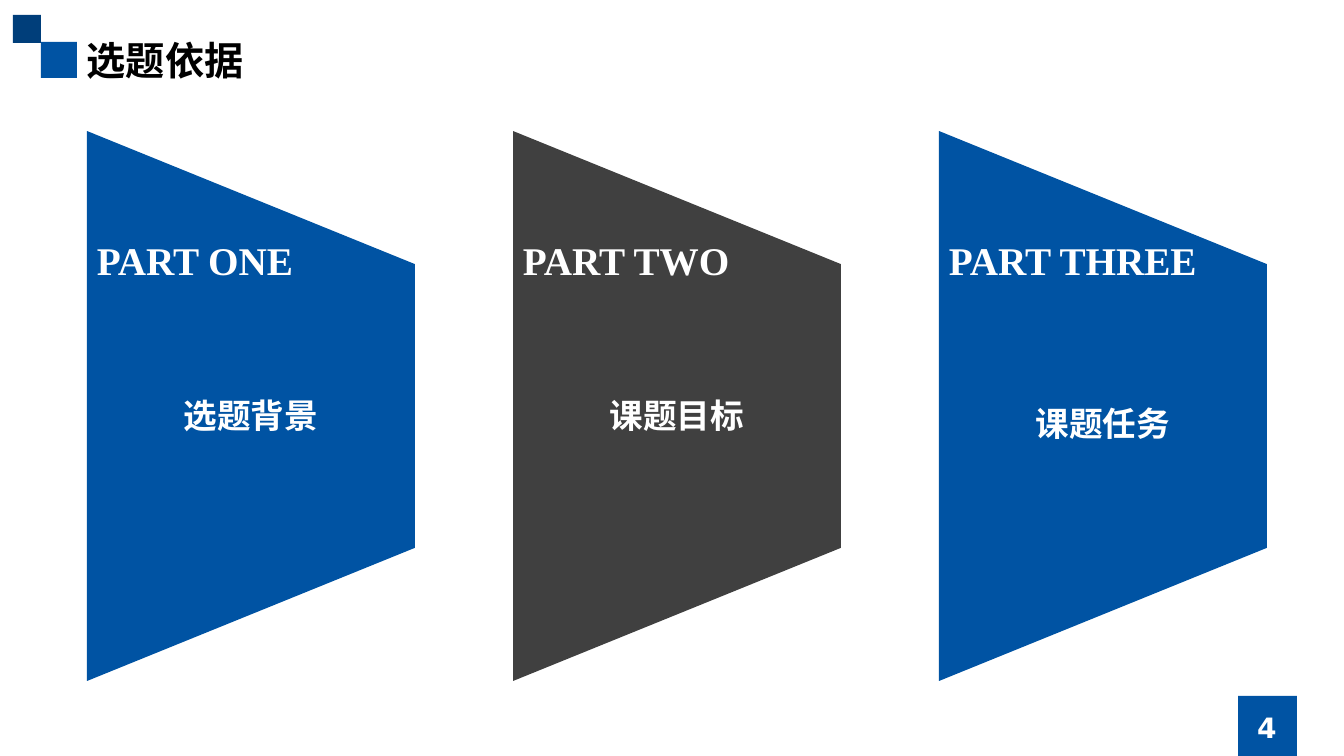
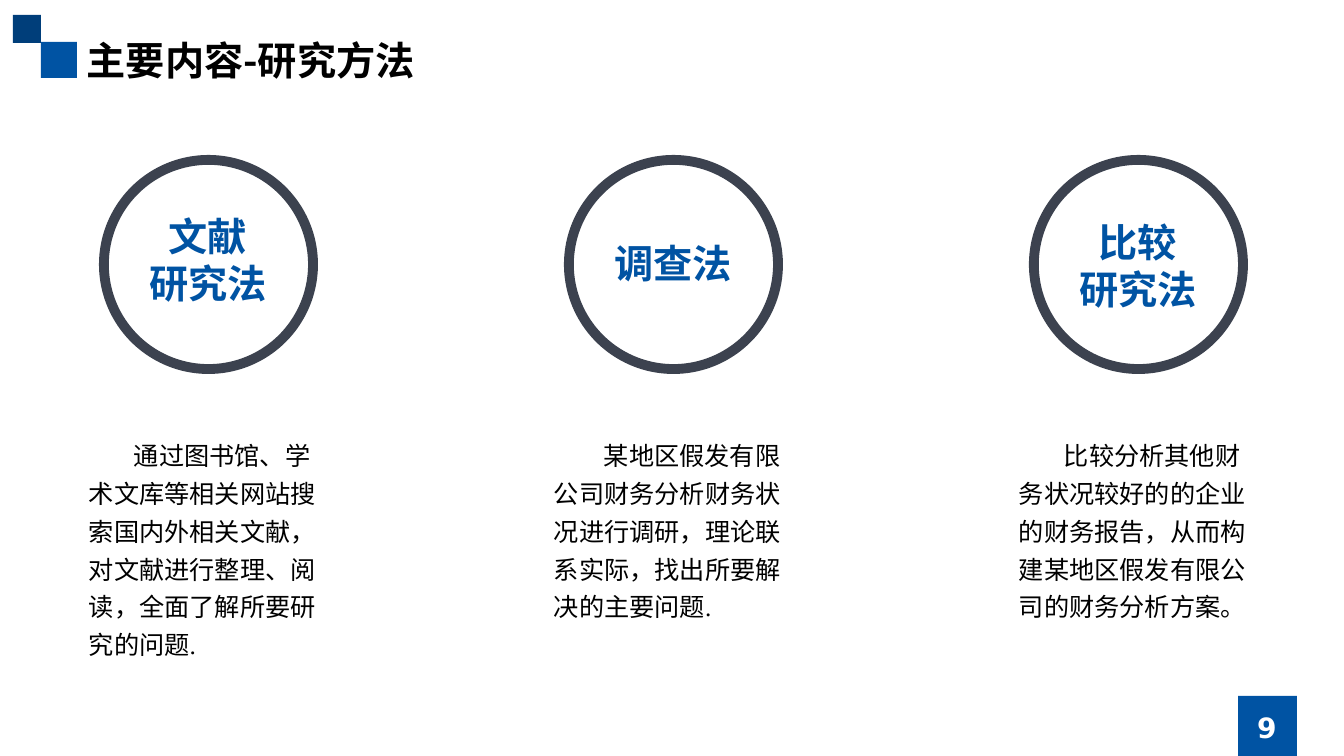
"""Build two thesis slides: the parts of the topic and the research methods."""
from lxml import etree
from pptx import Presentation
from pptx.dml.color import RGBColor
from pptx.enum.shapes import MSO_SHAPE
from pptx.enum.text import MSO_ANCHOR, MSO_AUTO_SIZE, PP_ALIGN
from pptx.oxml.ns import qn
from pptx.util import Pt

RECTANGLE, TRAPEZOID, DONUT = MSO_SHAPE.RECTANGLE, MSO_SHAPE.TRAPEZOID, MSO_SHAPE.DONUT
LEFT, CENTER = PP_ALIGN.LEFT, PP_ALIGN.CENTER
TOP, MIDDLE = MSO_ANCHOR.TOP, MSO_ANCHOR.MIDDLE
FIT_SHAPE = MSO_AUTO_SIZE.SHAPE_TO_FIT_TEXT

COLORS = {"blue": "0053A3", "navy": "003E7A", "gray": "404040",
          "slate": "3C424F", "black": "000000", "white": "FFFFFF"}
CJK, SANS, SERIF = "Noto Sans CJK SC", "DejaVu Sans", "Times New Roman"
SCALE = 914400 / 100.8

DECORATIONS = [((41, 42, 36, 36), "blue"), ((13, 15, 28, 28), "navy"),
               ((1238, 696, 59, 60), "blue")]

PARTS = [
    {"label": "PART ONE", "label_width": 217, "topic": "选题背景", "topic_top": 370, "color": "blue"},
    {"label": "PART TWO", "label_width": 229, "topic": "课题目标", "topic_top": 370, "color": "gray"},
    {"label": "PART THREE", "label_width": 270, "topic": "课题任务", "topic_top": 378, "color": "blue"},
]
PANEL_LEFT, PANEL_TOP, PANEL_WIDTH, PANEL_HEIGHT, PANEL_STEP = 87, 131, 328, 550, 426

METHODS = [
    {"name": ["文献", "研究法"], "name_top": 207, "indent": 45, "height": 237,
     "text": "通过图书馆、学术文库等相关网站搜索国内外相关文献，对文献进行整理、阅读，全面了解所要研究的问题."},
    {"name": ["调查法"], "name_top": 234, "indent": 50, "height": 200,
     "text": "某地区假发有限公司财务分析财务状况进行调研，理论联系实际，找出所要解决的主要问题."},
    {"name": ["比较", "研究法"], "name_top": 213, "indent": 45, "height": 200,
     "text": "比较分析其他财务状况较好的的企业的财务报告，从而构建某地区假发有限公司的财务分析方案。"},
]
RING_LEFT, RING_TOP, RING_SIZE, RING_STEP = 99, 155, 219, 465


def px(length):
    """Turn pixels into EMU."""
    return round(length * SCALE)


def add_shape(page, kind, bounds, color, adjustment=None, rotation=0):
    """Add a flat filled shape."""
    shape = page.shapes.add_shape(kind, *map(px, bounds))
    shape.shadow.inherit = False
    shape.fill.solid()
    shape.fill.fore_color.rgb = RGBColor.from_string(COLORS[color])
    shape.line.fill.background()
    shape.rotation = rotation
    if adjustment is not None:
        shape.adjustments[0] = adjustment


def add_text(page, bounds, lines, size, font, color, bold=True, align=LEFT,
             spacing=1.0, indent=0, wrap=True, anchor=TOP, fit=FIT_SHAPE):
    """Add a text box with one paragraph for each line."""
    box = page.shapes.add_textbox(*map(px, bounds))
    frame = box.text_frame
    frame.word_wrap = wrap
    frame.auto_size = fit
    frame.vertical_anchor = anchor
    for index, line in enumerate(lines):
        para = frame.paragraphs[0] if index == 0 else frame.add_paragraph()
        para.alignment = align
        para.line_spacing = spacing
        if indent:
            para._p.get_or_add_pPr().set("indent", str(px(indent)))
        span = para.add_run()
        span.text = line
        span.font.size = Pt(size)
        span.font.bold = bold
        span.font.name = font
        span.font.color.rgb = RGBColor.from_string(COLORS[color])
        etree.SubElement(span._r.get_or_add_rPr(), qn("a:ea")).set("typeface", CJK)


def add_page(deck, title, number):
    """Add a page with the shared squares, title and page number."""
    page = deck.slides.add_slide(deck.slide_layouts[6])
    for bounds, color in DECORATIONS:
        add_shape(page, RECTANGLE, bounds, color)
    add_text(page, (77, 31, 596, 60), [title], 28, CJK, "black")
    add_text(page, (1190, 707, 154, 40), [number], 20, SANS, "white",
             align=CENTER, anchor=MIDDLE, fit=MSO_AUTO_SIZE.NONE)
    return page


def add_parts(page):
    """Add the three trapezoid panels, turned on their side."""
    shift = (PANEL_HEIGHT - PANEL_WIDTH) / 2
    for index, part in enumerate(PARTS):
        left = PANEL_LEFT + index * PANEL_STEP
        add_shape(page, TRAPEZOID, (left - shift, PANEL_TOP + shift, PANEL_HEIGHT, PANEL_WIDTH),
                  part["color"], adjustment=0.406, rotation=90)
        add_text(page, (left, part["topic_top"], PANEL_WIDTH, 71), [part["topic"]],
                 24, SANS, "white", align=CENTER, spacing=1.5)
        add_text(page, (left, 208, part["label_width"], 81), [part["label"]],
                 28, SERIF, "white", spacing=1.5, wrap=False)


def add_methods(page):
    """Add the three rings with a name inside and a description below."""
    for index, method in enumerate(METHODS):
        left = RING_LEFT + index * RING_STEP
        add_shape(page, DONUT, (left, RING_TOP, RING_SIZE, RING_SIZE), "slate", adjustment=0.045)
        add_text(page, (left - 5, method["name_top"], 228, 12 + 48 * len(method["name"])),
                 method["name"], 28, SERIF, "blue", align=CENTER)
        add_text(page, (left - 20, 428, 259, method["height"]), [method["text"]], 18, SERIF,
                 "black", bold=False, spacing=1.25, indent=method["indent"])


deck = Presentation()
deck.slide_width, deck.slide_height = px(1344), px(756)
add_parts(add_page(deck, "选题依据", "4"))
add_methods(add_page(deck, "主要内容-研究方法", "9"))
deck.save("out.pptx")
